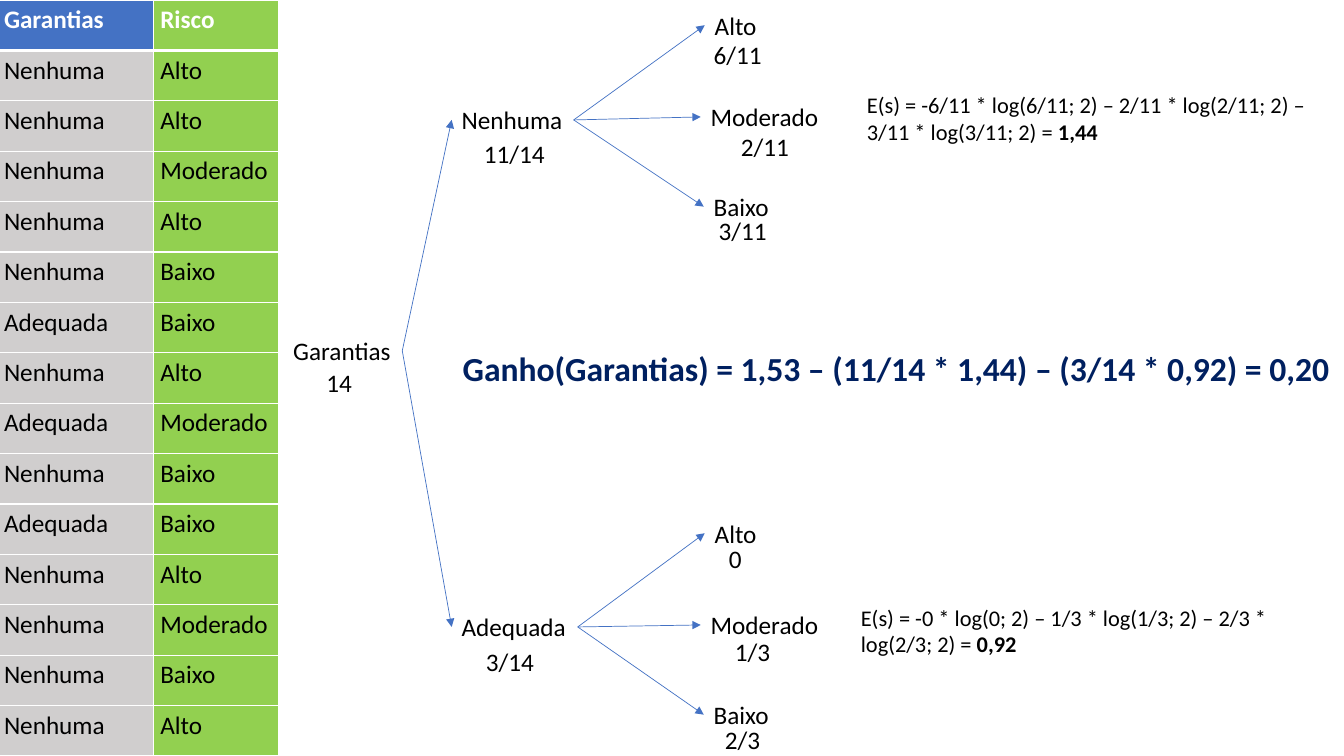
from lxml.etree import SubElement
from pptx import Presentation
from pptx.dml.color import RGBColor
from pptx.enum.shapes import MSO_CONNECTOR
from pptx.enum.text import MSO_AUTO_SIZE as AutoSize
from pptx.oxml.ns import qn
from pptx.util import Inches, Pt

BLACK = RGBColor(0x00, 0x00, 0x00)
WHITE = RGBColor(0xFF, 0xFF, 0xFF)
BLUE = RGBColor(0x44, 0x72, 0xC4)
NAVY = RGBColor(0x00, 0x20, 0x60)
GREEN = RGBColor(0x92, 0xD0, 0x50)
GRAY = RGBColor(0xD0, 0xCE, 0xCE)

FONT = "Calibri"
LABEL_HEIGHT = 0.4

RECORDS = [
    ("Garantias", "Risco"),
    ("Nenhuma", "Alto"),
    ("Nenhuma", "Alto"),
    ("Nenhuma", "Moderado"),
    ("Nenhuma", "Alto"),
    ("Nenhuma", "Baixo"),
    ("Adequada", "Baixo"),
    ("Nenhuma", "Alto"),
    ("Adequada", "Moderado"),
    ("Nenhuma", "Baixo"),
    ("Adequada", "Baixo"),
    ("Nenhuma", "Alto"),
    ("Nenhuma", "Moderado"),
    ("Nenhuma", "Baixo"),
    ("Nenhuma", "Alto"),
]

RISKS = [
    ("Alto", 6.99, 0.05, 0.62),
    ("Moderado", 6.95, 0.96, 1.28),
    ("Baixo", 6.98, 1.85, 0.75),
]

BRANCHES = [
    {
        "label": ("Nenhuma", 4.48, 0.99, 1.21),
        "share": ("11/14", 4.7, 1.32, 0.81),
        "risk_offset": 0,
        "risk_shares": [("6/11", 6.98, 0.34, 0.85), ("2/11", 7.25, 1.25, 0.75),
                        ("3/11", 7.03, 2.09, 0.91)],
        "entropy": ("E(s) = -6/11 * log(6/11; 2) – 2/11 * log(2/11; 2) – "
                    "3/11 * log(3/11; 2) = ", 8.5, 0.86, 4.57),
        "entropy_value": "1,44",
    },
    {
        "label": ("Adequada", 4.48, 6.02, 1.25),
        "share": ("3/14", 4.72, 6.36, 0.68),
        "risk_offset": 5.04,
        "risk_shares": [("0", 7.13, 5.34, 0.62), ("1/3", 7.19, 6.26, 0.62),
                        ("2/3", 7.09, 7.14, 0.62)],
        "entropy": ("E(s) = -0 * log(0; 2) – 1/3 * log(1/3; 2) – "
                    "2/3 * log(2/3; 2) = ", 8.44, 5.94, 4.27),
        "entropy_value": "0,92",
    },
]


def style(paragraph, size, color=BLACK, bold=None):
    font = paragraph.font
    font.name = FONT
    font.size = Pt(size)
    font.color.rgb = color
    font.bold = bold


def add_text(slide, text, left, top, width, height=LABEL_HEIGHT,
             size=18, color=BLACK, bold=None, wrap=False):
    box = slide.shapes.add_textbox(
        Inches(left), Inches(top), Inches(width), Inches(height))
    frame = box.text_frame
    frame.word_wrap = wrap
    frame.auto_size = AutoSize.SHAPE_TO_FIT_TEXT
    paragraph = frame.paragraphs[0]
    paragraph.add_run().text = text
    style(paragraph, size, color, bold)
    return paragraph


def add_entropy(slide, formula, value):
    paragraph = add_text(slide, *formula, height=0.64, size=16, wrap=True)
    result = paragraph.add_run()
    result.text = value
    result.font.bold = True


def add_arrow(slide, start, end):
    arrow = slide.shapes.add_connector(
        MSO_CONNECTOR.STRAIGHT, *(Inches(value) for value in (*start, *end)))
    arrow.line.color.rgb = BLUE
    arrow.line.width = Pt(0.5)
    SubElement(arrow.line._get_or_add_ln(), qn("a:tailEnd"), type="triangle")
    SubElement(arrow._element.spPr, qn("a:effectLst"))


def left_middle(label):
    _, left, top, _ = label
    return left, top + LABEL_HEIGHT / 2


def right_middle(label):
    _, left, top, width = label
    return left + width, top + LABEL_HEIGHT / 2


def add_branch(slide, root, branch):
    label = branch["label"]
    add_text(slide, *label)
    add_text(slide, *branch["share"])
    add_arrow(slide, right_middle(root), left_middle(label))
    for (name, left, top, width), share in zip(RISKS, branch["risk_shares"]):
        risk = (name, left, top + branch["risk_offset"], width)
        add_text(slide, *risk)
        add_text(slide, *share, wrap=True)
        add_arrow(slide, right_middle(label), left_middle(risk))
    add_entropy(slide, branch["entropy"], branch["entropy_value"])


def add_border(cell, side, points):
    line = SubElement(cell._tc.get_or_add_tcPr(), qn(f"a:ln{side}"),
                      w=str(Pt(points)))
    fill = SubElement(line, qn("a:solidFill"))
    SubElement(fill, qn("a:srgbClr"), val=str(WHITE))


def fill_cell(cell, text, row, column):
    header = row == 0
    cell.margin_left = cell.margin_right = Inches(0.07)
    cell.margin_top = cell.margin_bottom = 0
    for side in "LRTB":
        under_header = (row, side) in ((0, "B"), (1, "T"))
        add_border(cell, side, 3 if under_header else 1)
    cell.fill.solid()
    cell.fill.fore_color.rgb = GREEN if column else BLUE if header else GRAY
    cell.text = text
    paragraph = cell.text_frame.paragraphs[0]
    paragraph.line_spacing = 1.15
    style(paragraph, 18, WHITE if header else BLACK, header)


def add_records(slide):
    widths = (1.55, 1.24)
    table = slide.shapes.add_table(
        len(RECORDS), len(widths), Inches(-0.03), 0,
        Inches(sum(widths)), Inches(7.5)).table
    for column, width in zip(table.columns, widths):
        column.width = Inches(width)
    for row, record in enumerate(RECORDS):
        for column, text in enumerate(record):
            fill_cell(table.cell(row, column), text, row, column)


def main():
    deck = Presentation()
    deck.slide_width = Inches(13.33)
    deck.slide_height = Inches(7.5)
    slide = deck.slides.add_slide(deck.slide_layouts[6])

    root = ("Garantias", 2.81, 3.28, 1.18)
    add_text(slide, *root)
    add_text(slide, "14", 3.14, 3.59, 0.46)
    for branch in BRANCHES:
        add_branch(slide, root, branch)
    add_text(slide, "Ganho(Garantias) = 1,53 – (11/14 * 1,44) – (3/14 * 0,92) = 0,20",
             4.49, 3.4, 8.8, 0.5, size=24, color=NAVY, bold=True, wrap=True)
    add_records(slide)

    deck.save("out.pptx")


if __name__ == "__main__":
    main()
